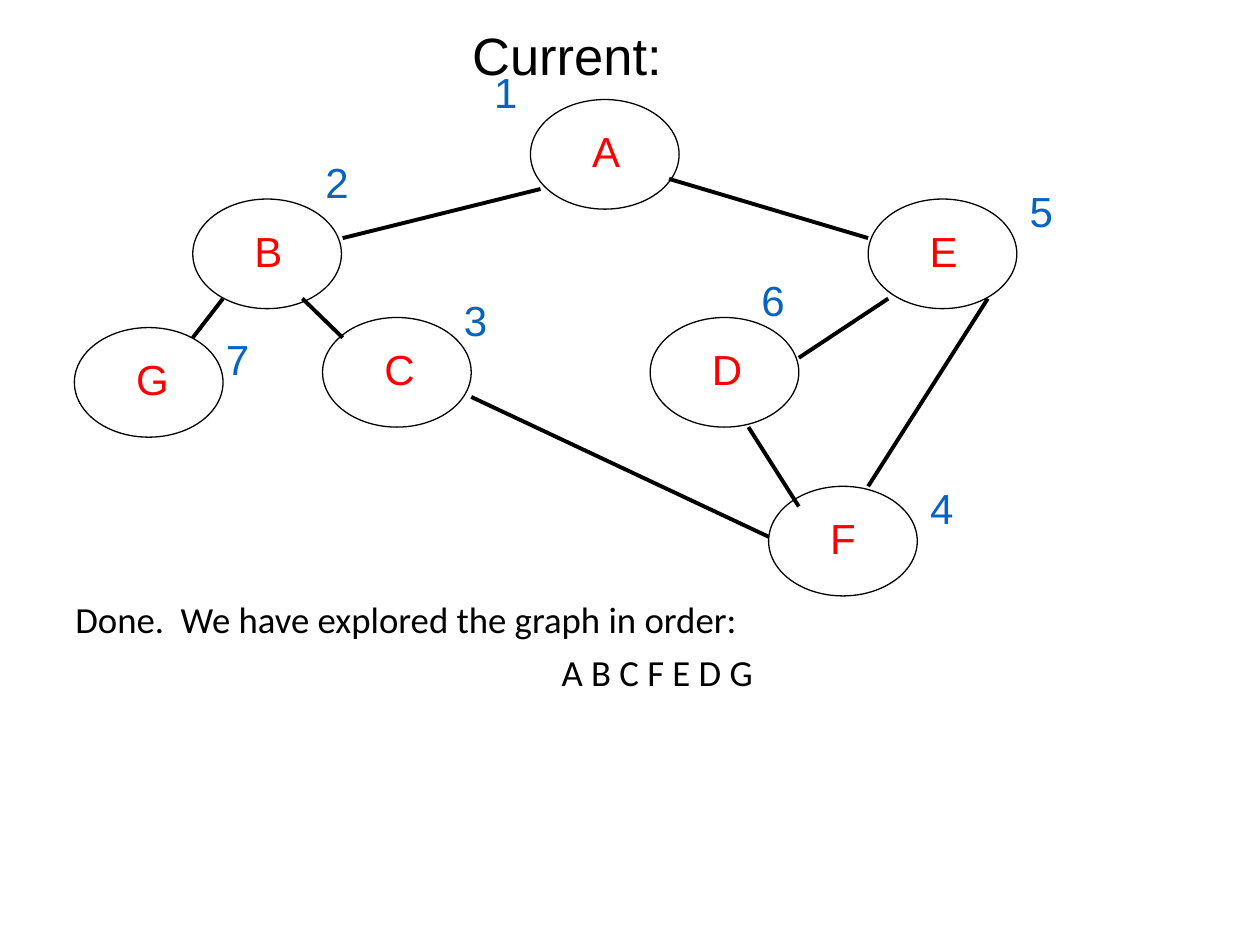
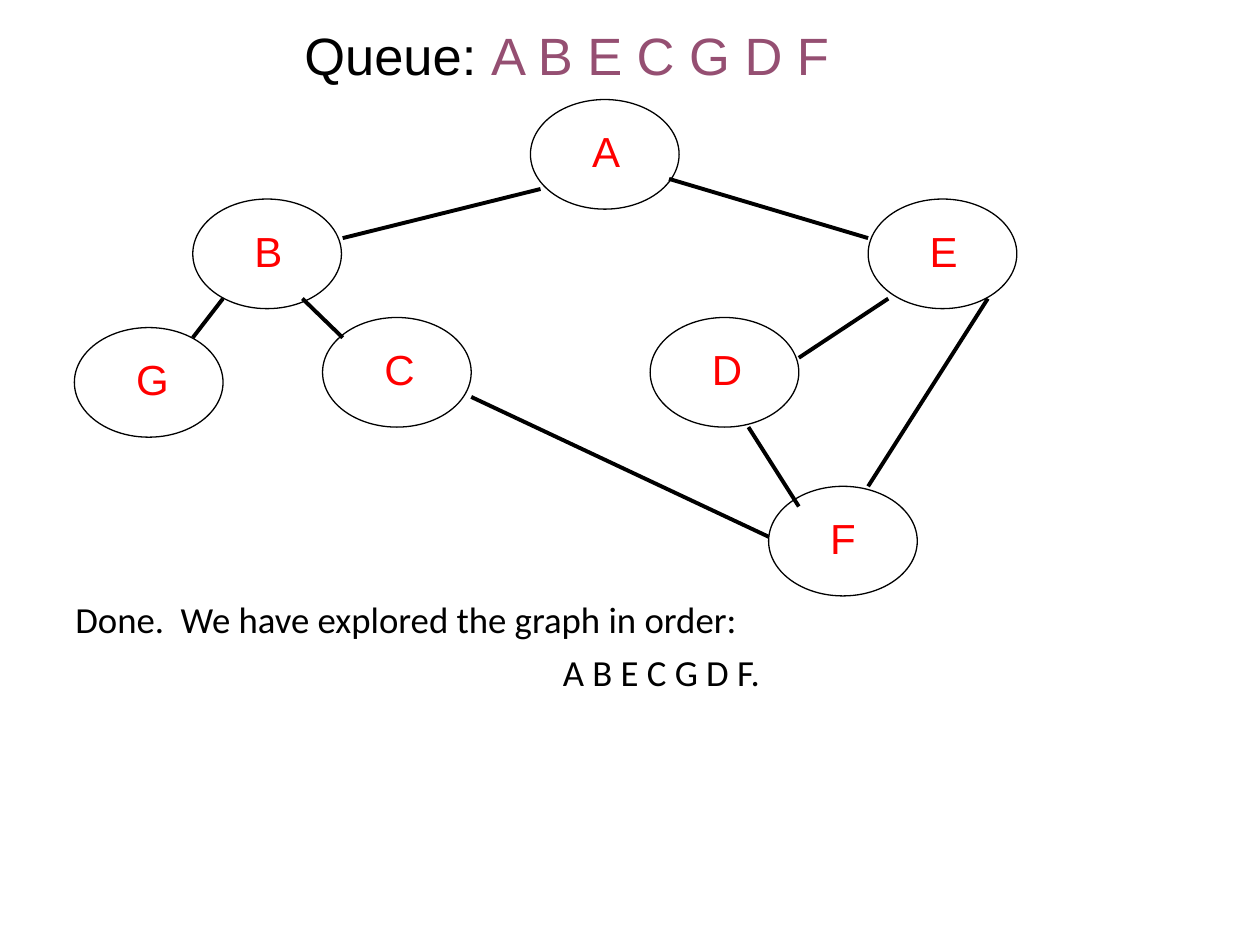
from pptx import Presentation
from pptx.dml.color import RGBColor
from pptx.enum import shapes, text
from pptx.oxml.ns import qn
from pptx.util import Inches, Pt
from lxml import etree

BLACK, NODE_RED, VISIT_BLUE, QUEUE_PURPLE = "000000", "FF0000", "0563C1", "954F72"
NODE_WIDTH, NODE_HEIGHT = 1.18, 0.87
LETTER_DX, LETTER_DY = 0.39, 0.16

NODES = {
    "A": (4.21, 0.79, 0.42),
    "B": (1.53, 1.58, 0.42),
    "G": (0.59, 2.6, 0.46),
    "C": (2.56, 2.52, 0.44),
    "E": (6.89, 1.58, 0.42),
    "D": (5.16, 2.52, 0.44),
    "F": (6.1, 3.86, 0.4),
}
EDGES = [
    ((4.29, 1.5), (2.72, 1.89)),
    ((5.31, 1.42), (6.89, 1.89)),
    ((7.84, 2.37), (6.89, 3.86)),
    ((7.05, 2.37), (6.34, 2.84)),
    ((5.94, 3.39), (6.34, 4.02)),
    ((6.1, 4.26), (3.74, 3.15)),
    ((2.4, 2.37), (2.72, 2.68)),
    ((1.77, 2.37), (1.53, 2.68)),
]
VISITS = {
    "1": (3.82, 0.48),
    "2": (2.48, 1.19),
    "3": (3.58, 2.29),
    "4": (7.28, 3.78),
    "6": (5.94, 2.13),
    "7": (1.69, 2.6),
    "5": (8.07, 1.42),
}


def color(hex_value):
    return RGBColor.from_string(hex_value)


class GraphDeck:
    def __init__(self):
        self.deck = Presentation()
        self.deck.slide_width = Inches(10)
        self.deck.slide_height = Inches(7.5)
        self.slide = None

    def new_slide(self):
        self.slide = self.deck.slides.add_slide(self.deck.slide_layouts[6])

    def run(self, paragraph, words, size, hex_value, font="Arial"):
        run = paragraph.add_run()
        run.text = words
        run.font.name = font
        run.font.size = Pt(size)
        run.font.color.rgb = color(hex_value)

    def frame(self, parent, left, top, width, height, wrap=True):
        box = parent.add_textbox(Inches(left), Inches(top), Inches(width), Inches(height))
        box.text_frame.word_wrap = wrap
        return box.text_frame

    def hang(self, paragraph, indent):
        properties = paragraph._p.get_or_add_pPr()
        properties.set("marL", str(Inches(indent)))
        properties.set("indent", str(-Inches(indent)))

    def label(self, parent, mark, left, top, width, hex_value):
        frame = self.frame(parent, left, top, width, 0.5, wrap=False)
        frame.auto_size = text.MSO_AUTO_SIZE.SHAPE_TO_FIT_TEXT
        paragraph = frame.paragraphs[0]
        paragraph.alignment = text.PP_ALIGN.CENTER
        self.run(paragraph, mark, 24, hex_value)

    def node(self, letter, left, top, letter_width):
        group = self.slide.shapes.add_group_shape()
        oval = group.shapes.add_shape(
            shapes.MSO_SHAPE.OVAL,
            Inches(left), Inches(top), Inches(NODE_WIDTH), Inches(NODE_HEIGHT))
        oval.shadow.inherit = False
        oval.fill.background()
        oval.line.color.rgb = color(BLACK)
        oval.line.width = Pt(0.75)
        self.label(group.shapes, letter, left + LETTER_DX, top + LETTER_DY,
                   letter_width, NODE_RED)

    def edge(self, start, end):
        line = self.slide.shapes.add_connector(
            shapes.MSO_CONNECTOR.STRAIGHT, *(Inches(value) for value in start + end))
        line.line.color.rgb = color(BLACK)
        line.line.width = Pt(2.25)
        etree.SubElement(line._element.spPr, qn("a:effectLst"))

    def title(self, *parts):
        frame = self.frame(self.slide.shapes, 0, 0.08, 9, 0.99)
        frame.margin_top = Inches(0.1)
        paragraph = frame.paragraphs[0]
        self.hang(paragraph, 0.38)
        paragraph.alignment = text.PP_ALIGN.CENTER
        for words, hex_value in parts:
            self.run(paragraph, words, 30, hex_value)

    def summary(self, order):
        frame = self.frame(self.slide.shapes, 0.5, 4.73, 9.5, 1.26)
        intro, result = frame.paragraphs[0], frame.add_paragraph()
        result.alignment = text.PP_ALIGN.CENTER
        result.space_before = Pt(7.5)
        lines = ((intro, "Done.  We have explored the graph in order:"), (result, order))
        for paragraph, words in lines:
            self.hang(paragraph, 0.19)
            paragraph.line_spacing = 0.9
            self.run(paragraph, words, 21, BLACK, "Calibri")

    def graph(self):
        for letter, place in NODES.items():
            self.node(letter, *place)
        for start, end in EDGES:
            self.edge(start, end)

    def visit_numbers(self):
        for number, (left, top) in VISITS.items():
            self.label(self.slide.shapes, number, left, top, 0.39, VISIT_BLUE)


def main():
    search = GraphDeck()

    search.new_slide()
    search.summary("A B C F E D G ")
    search.graph()
    search.title(("Current:", BLACK))
    search.visit_numbers()

    search.new_slide()
    search.summary("A B E C G D F.")
    search.graph()
    search.title(("Queue: ", BLACK), ("A B E C G D F", QUEUE_PURPLE))

    search.deck.save("out.pptx")


if __name__ == "__main__":
    main()
